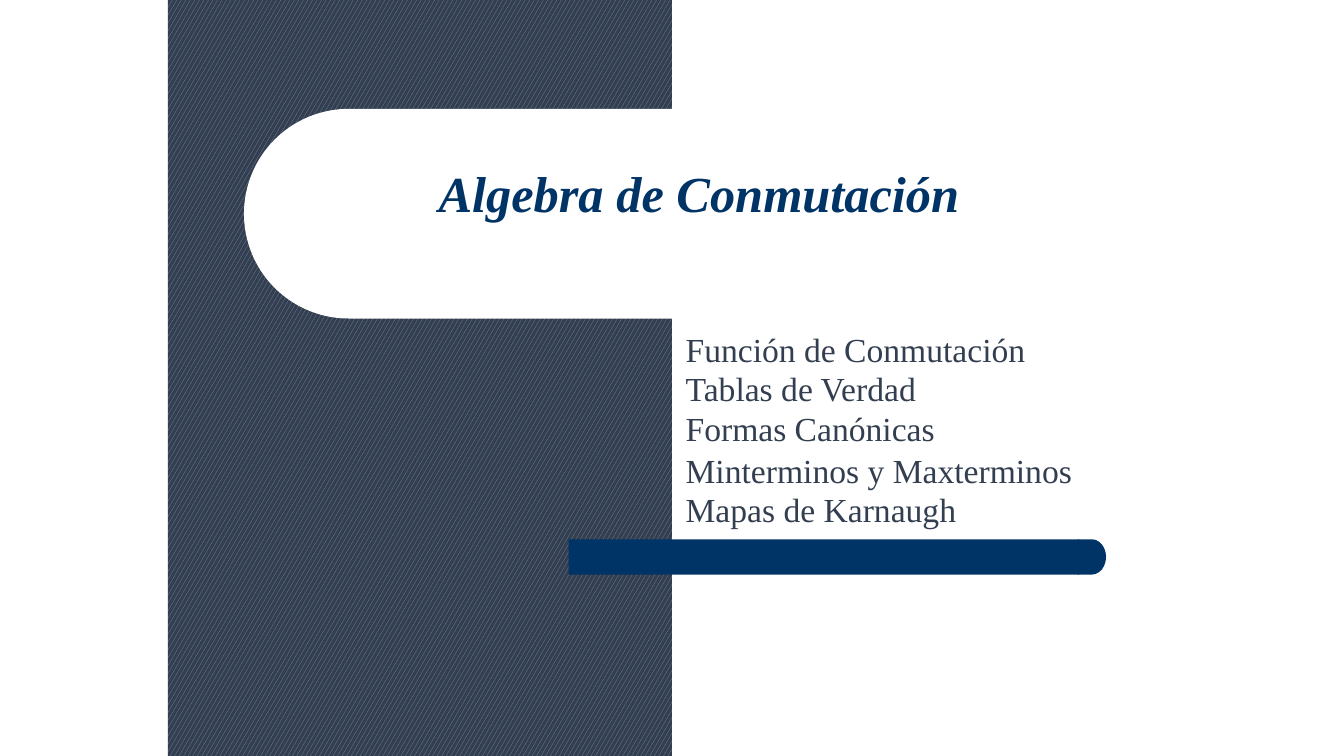
from pptx import Presentation
from pptx.dml.color import RGBColor
from pptx.enum.dml import MSO_PATTERN
from pptx.enum.shapes import MSO_SHAPE as Preset
from pptx.enum.text import MSO_ANCHOR, MSO_AUTO_SIZE, PP_ALIGN
from pptx.oxml.ns import qn
from pptx.util import Inches, Pt

WIDTH, HEIGHT = 13.33, 7.5
NAVY, SLATE, HATCH, WHITE = "003366", "333F50", "8497B0", "FFFFFF"
FONT = "Times New Roman"

HEADING = [("Algebra de Conmutación", 18, 0)]
TOPICS = [
    ("Función de Conmutación", 22, 0),
    ("Tablas de Verdad", 28, 0),
    ("Formas Canónicas", 28, 0),
    ("Minterminos y Maxterminos", 28, 2.4),
    ("Mapas de Karnaugh", 28, 0),
]
HEADING_BOX = (4.35, 1.96, 5.22, 0.3)
TOPICS_BOX = (6.8, 3.36, 3.87, 1.95)

PANEL = (WIDTH / 8, 0, WIDTH * 3 / 8, HEIGHT)
CAPSULE = (2.42, 1.08, 5.67, 2.08)
BAR_LEFT, BAR_TOP, BAR_LENGTH, BAR_HEIGHT, CAP_LENGTH = 5.64, 5.35, 5.06, 0.35, 0.28
BAR = (BAR_LEFT, BAR_TOP, BAR_LENGTH, BAR_HEIGHT)
CAP = (BAR_LEFT + BAR_LENGTH - 0.01, BAR_TOP, CAP_LENGTH, BAR_HEIGHT)


def rgb(code):
    """Turn a hex string into a colour."""
    return RGBColor.from_string(code)


def add_block(slide, preset, box, color, hatch=None):
    """Add a borderless shape, solid or patterned."""
    block = slide.shapes.add_shape(preset, *map(Inches, box))
    block.shadow.inherit = False
    block.line.fill.background()
    if hatch:
        block.fill.patterned()
        block.fill.pattern = MSO_PATTERN.LARGE_CONFETTI
        block.fill.fore_color.rgb = rgb(hatch)
        block.fill.back_color.rgb = rgb(color)
    else:
        block.fill.solid()
        block.fill.fore_color.rgb = rgb(color)
    return block


def write(holder, box, lines, size, color, bold=False, italic=False):
    """Place a placeholder in front and fill it with formatted lines."""
    holder.left, holder.top, holder.width, holder.height = map(Inches, box)
    tree = holder.element.getparent()
    tree.append(holder.element)
    frame = holder.text_frame
    frame.margin_left = frame.margin_right = frame.margin_top = 0
    frame.margin_bottom = Inches(0.05)
    frame.word_wrap = True
    frame.auto_size = MSO_AUTO_SIZE.NONE
    frame.vertical_anchor = MSO_ANCHOR.TOP
    frame.text = "\n".join(text for text, _, _ in lines)
    for paragraph, (_, spacing, gap) in zip(frame.paragraphs, lines):
        properties = paragraph._p.get_or_add_pPr()
        properties.set("marL", "0")
        properties.set("indent", "0")
        properties.append(properties.makeelement(qn("a:buNone"), {}))
        paragraph.alignment = PP_ALIGN.LEFT
        paragraph.line_spacing = Pt(spacing)
        paragraph.space_before = Pt(gap)
        paragraph.space_after = Pt(0)
        for run in paragraph.runs:
            run.font.name = FONT
            run.font.size = Pt(size)
            run.font.bold, run.font.italic = bold, italic
            run.font.color.rgb = rgb(color)


def main():
    """Build the title slide."""
    deck = Presentation()
    deck.slide_width, deck.slide_height = Inches(WIDTH), Inches(HEIGHT)
    slide = deck.slides.add_slide(deck.slide_layouts[1])
    slide.background.fill.solid()
    slide.background.fill.fore_color.rgb = rgb(WHITE)

    add_block(slide, Preset.RECTANGLE, PANEL, SLATE, hatch=HATCH)
    capsule = add_block(slide, Preset.ROUNDED_RECTANGLE, CAPSULE, WHITE)
    capsule.adjustments[0] = 0.5
    add_block(slide, Preset.RECTANGLE, BAR, NAVY)
    add_block(slide, Preset.FLOWCHART_DELAY, CAP, NAVY)

    heading, topics = slide.shapes.title, slide.placeholders[1]
    write(heading, HEADING_BOX, HEADING, 36, NAVY, bold=True, italic=True)
    write(topics, TOPICS_BOX, TOPICS, 24, SLATE)
    deck.save("out.pptx")


if __name__ == "__main__":
    main()
